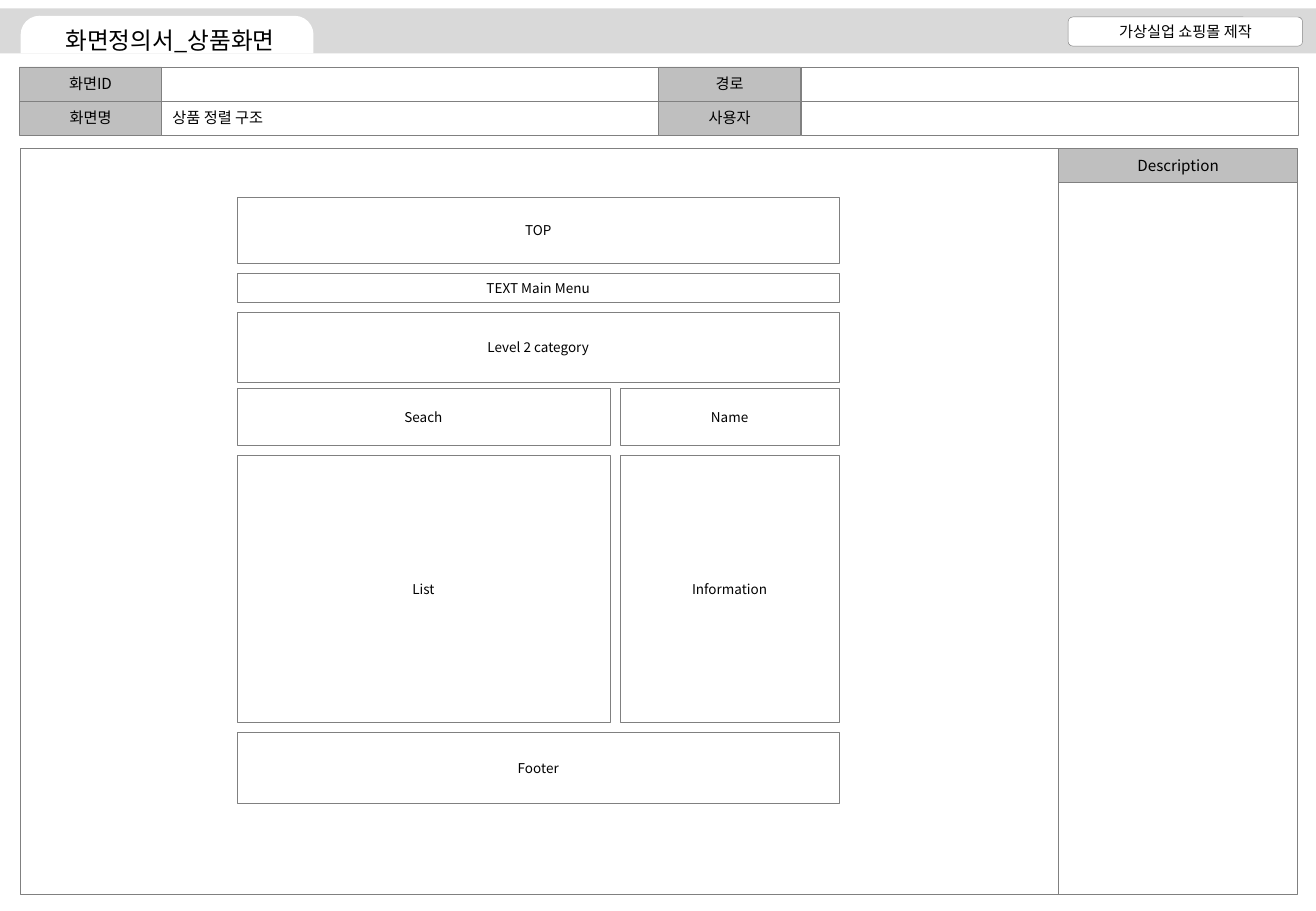
from pptx import Presentation
from pptx.dml.color import RGBColor
from pptx.enum.shapes import MSO_SHAPE as Shape
from pptx.enum.text import MSO_ANCHOR as Anchor, MSO_AUTO_SIZE as AutoSize, PP_ALIGN as Align
from pptx.oxml.ns import qn
from pptx.util import Inches, Pt

FONT = "Noto Sans CJK KR"
BLACK = RGBColor(0x00, 0x00, 0x00)
WHITE = RGBColor(0xFF, 0xFF, 0xFF)
BAND_GREY = RGBColor(0xD9, 0xD9, 0xD9)
LABEL_GREY = RGBColor(0xBF, 0xBF, 0xBF)
LINE_GREY = RGBColor(0x80, 0x80, 0x80)

deck = Presentation()
deck.slide_width, deck.slide_height = Inches(10.83), Inches(7.5)
page = deck.slides.add_slide(deck.slide_layouts[5])


def write(shape, text, size=9, align=Align.CENTER, wrap=True, inset=0.0):
    frame = shape.text_frame
    frame.word_wrap = wrap
    frame.auto_size = AutoSize.NONE
    frame.vertical_anchor = Anchor.MIDDLE
    frame.margin_left = frame.margin_right = Inches(inset)
    frame.margin_top = frame.margin_bottom = 0
    para = frame.paragraphs[0]
    para.alignment = align
    span = para.add_run()
    span.text = text
    span.font.name = FONT
    span.font.size = Pt(size)
    span.font.color.rgb = BLACK
    east_asian = span.font._element.makeelement(qn("a:ea"), {"typeface": FONT})
    span.font._element.append(east_asian)


def add_box(left, top, width, height, text="", kind=Shape.RECTANGLE,
            fill=None, line=LINE_GREY, size=9):
    box = page.shapes.add_shape(kind, *map(Inches, (left, top, width, height)))
    box.shadow.inherit = False
    if fill is None:
        box.fill.background()
    else:
        box.fill.solid()
        box.fill.fore_color.rgb = fill
    if line is None:
        box.line.fill.background()
    else:
        box.line.color.rgb = line
        box.line.width = Pt(0.25)
    if text:
        write(box, text, size=size)
    return box


# Screen details: two rows of label and value pairs
LABEL_WIDTH, VALUE_WIDTH, ROW = 1.17, 4.09, 0.28
LEFT, DETAILS_TOP = 0.16, 0.55
details = [["화면ID", "경로"], ["화면명", "사용자"]]
for row, labels in enumerate(details):
    for column, label in enumerate(labels):
        left = LEFT + column * (LABEL_WIDTH + VALUE_WIDTH)
        top = DETAILS_TOP + row * ROW
        add_box(left, top, LABEL_WIDTH, ROW, label, fill=LABEL_GREY)
        add_box(left + LABEL_WIDTH, top, VALUE_WIDTH, ROW)

screen_name = page.shapes.add_textbox(Inches(1.32), Inches(0.84), Inches(1.05), Inches(0.25))
write(screen_name, "상품 정렬 구조", align=Align.LEFT, wrap=False, inset=0.1)

# Canvas and description column
BODY_TOP, BODY_HEIGHT = 1.22, 6.14
SIDE_LEFT, SIDE_WIDTH = 8.71, 1.97
add_box(0.17, BODY_TOP, SIDE_LEFT - 0.17, BODY_HEIGHT)
add_box(SIDE_LEFT, BODY_TOP, SIDE_WIDTH, ROW, "Description", fill=LABEL_GREY)
add_box(SIDE_LEFT, BODY_TOP + ROW, SIDE_WIDTH, BODY_HEIGHT - ROW)

# Header band, title tab and project badge
add_box(0, 0.07, 10.83, 0.37, fill=BAND_GREY, line=None)
tab = add_box(0.17, 0.13, 2.41, 0.31, kind=Shape.ROUND_2_SAME_RECTANGLE, fill=WHITE, line=None)
tab.adjustments[0], tab.adjustments[1] = 0.5, 0
add_box(8.79, 0.14, 1.93, 0.24, "가상실업 쇼핑몰 제작", kind=Shape.ROUNDED_RECTANGLE, fill=WHITE)

title = page.shapes.title
title.left, title.top, title.width, title.height = map(Inches, (0.3, 0.21, 2.2, 0.24))
write(title, "화면정의서_상품화면", size=14)
tab.element.addnext(title.element)  # the title lies on top of its tab

# Wireframe: rows of blocks, either full width or split in two
FRAME_LEFT, FRAME_WIDTH, MAIN_WIDTH, GUTTER = 1.95, 4.96, 3.07, 0.08
wireframe = [
    (1.62, 0.55, ["TOP"]),
    (2.25, 0.24, ["TEXT Main Menu"]),
    (2.57, 0.58, ["Level 2 category"]),
    (3.2, 0.47, ["Seach", "Name"]),
    (3.75, 2.2, ["List", "Information"]),
    (6.03, 0.58, ["Footer"]),
]
for top, height, names in wireframe:
    widths = [FRAME_WIDTH] if len(names) == 1 else [MAIN_WIDTH, FRAME_WIDTH - MAIN_WIDTH - GUTTER]
    left = FRAME_LEFT
    for name, width in zip(names, widths):
        add_box(left, top, width, height, name, size=8)
        left += width + GUTTER

deck.save("out.pptx")
